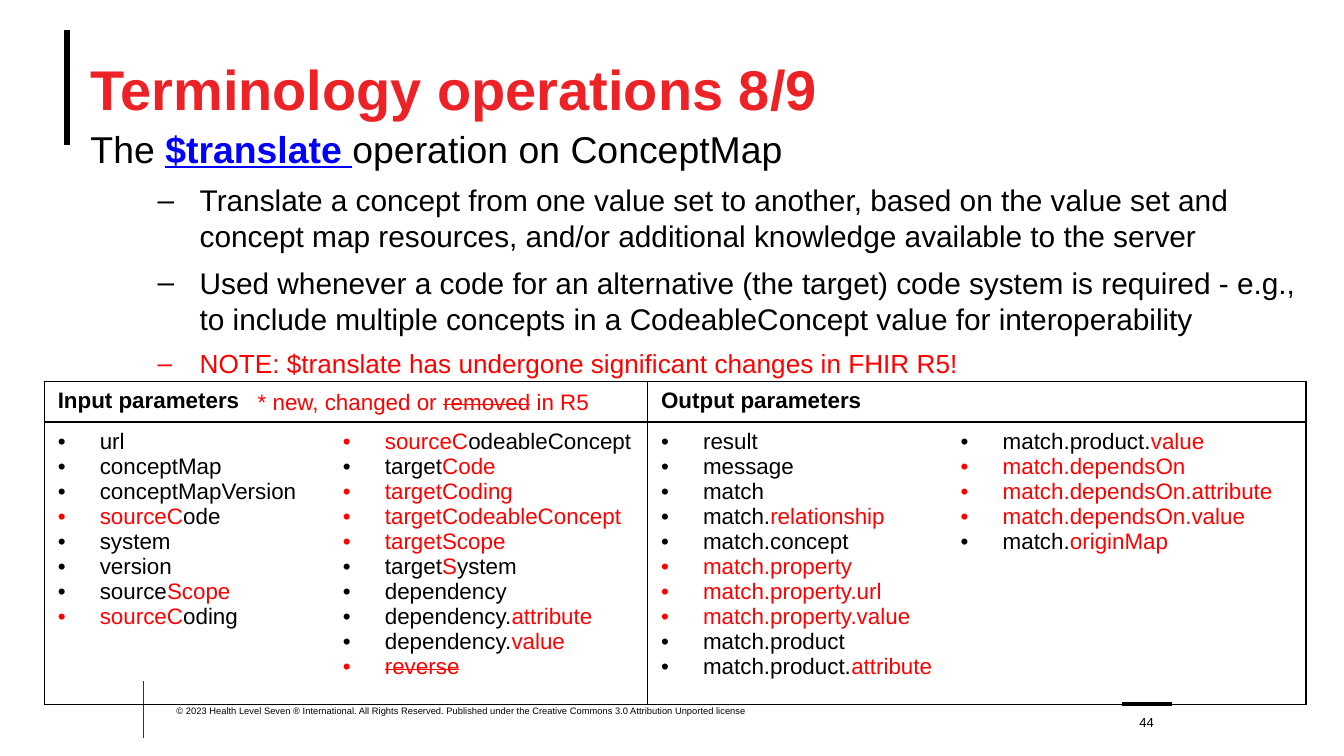
import pptx
import pptx.dml.color
import pptx.enum.shapes
import pptx.enum.text
import pptx.oxml.ns
import pptx.util
from lxml import etree

Pt = pptx.util.Pt
Anchor = pptx.enum.text.MSO_ANCHOR
Align = pptx.enum.text.PP_ALIGN
BLACK, RED, BLUE = "000000", "FF0000", "0000FF"

# Red pieces stand between bars; "~" marks a struck piece.
INPUTS = [
    ["url", "conceptMap", "conceptMapVersion", "|sourceC|ode", "system",
     "version", "source|Scope", "|sourceC|oding"],
    ["|sourceC|odeableConcept", "target|Code", "|targetCoding",
     "|targetCodeableConcept", "|targetScope", "target|S|ystem", "dependency",
     "dependency.|attribute", "dependency.|value", "|~reverse"],
]
OUTPUTS = [
    ["result", "message", "match", "match.|relationship", "match.concept",
     "|match.property", "|match.property.url", "|match.property.value",
     "match.product", "match.product.|attribute"],
    ["match.product.|value", "|match.dependsOn", "|match.dependsOn.attribute",
     "|match.dependsOn.value", "match.|originMap"],
]


def color(code):
    return pptx.dml.color.RGBColor.from_string(code)


def child(parent, tag, **attrs):
    return etree.SubElement(parent, pptx.oxml.ns.qn(tag), attrs)


class Deck:
    """Holds the style and the current slide."""
    font = "Arial"
    indent = 22.5

    def __init__(self, wide, high):
        self.file = pptx.Presentation()
        self.file.slide_width, self.file.slide_height = Pt(wide), Pt(high)
        self.slide = self.file.slides.add_slide(self.file.slide_layouts[6])

    def line(self, x1, y1, x2, y2, width, hue=BLACK):
        kind = pptx.enum.shapes.MSO_CONNECTOR.STRAIGHT
        line = self.slide.shapes.add_connector(
            kind, Pt(x1), Pt(y1), Pt(x2), Pt(y2))
        line.line.width = Pt(width)
        line.line.color.rgb = color(hue)
        child(line._element.spPr, "a:effectLst")

    def box(self, x, y, wide, high, anchor=Anchor.TOP, inset=(0, 0)):
        """Add a text box and return its frame; inset is (side, top)."""
        frame = self.slide.shapes.add_textbox(
            Pt(x), Pt(y), Pt(wide), Pt(high)).text_frame
        frame.word_wrap = True
        frame.vertical_anchor = anchor
        frame.margin_left = frame.margin_right = Pt(inset[0])
        frame.margin_top = frame.margin_bottom = Pt(inset[1])
        return frame

    def para(self, frame, size, first=False, mark=None, left=0, before=0):
        """Return a paragraph, with a hanging bullet if mark is given."""
        para = frame.paragraphs[0] if first else frame.add_paragraph()
        if before:
            para.space_before = Pt(before)
        if mark:
            props = para._p.get_or_add_pPr()
            props.set("marL", str(Pt(left)))
            props.set("indent", str(-Pt(self.indent)))
            child(props, "a:buFont", typeface=self.font)
            child(props, "a:buChar", char=mark)
        child(para._p, "a:endParaRPr", sz=str(size * 100))
        para.font.size = Pt(size)
        return para

    def run(self, para, text, size, hue=BLACK, bold=False, under=False,
            strike=False):
        run = para.add_run()
        run.text = text
        run.font.name, run.font.size = self.font, Pt(size)
        run.font.bold, run.font.underline = bold, under
        run.font.color.rgb = color(hue)
        if strike:
            run._r.get_or_add_rPr().set("strike", "sngStrike")

    def mixed(self, para, text, size):
        """Add runs that turn from black to red and back at each bar."""
        for i, part in enumerate(text.split("|")):
            if part:
                self.run(para, part.lstrip("~"), size, RED if i % 2 else BLACK,
                         strike=part.startswith("~"))

    def edges(self, cell, sides):
        """Draw the named sides of a cell and clear the others."""
        props = cell._tc.get_or_add_tcPr()
        for side in "LRTB":
            edge = child(props, "a:ln" + side, w=str(Pt(1)))
            if side in sides:
                fill = child(edge, "a:solidFill")
                child(fill, "a:srgbClr", val=BLACK)
            else:
                child(edge, "a:noFill")
        cell.fill.background()

    def table(self, x, y, cols, rows, heads, lists):
        """Each head spans two columns of bullet lists."""
        table = self.slide.shapes.add_table(
            len(rows), len(cols), Pt(x), Pt(y), Pt(sum(cols)),
            Pt(sum(rows))).table
        table.first_row = table.horz_banding = False
        for col, wide in zip(table.columns, cols):
            col.width = Pt(wide)
        for row, high in zip(table.rows, rows):
            row.height = Pt(high)
        for i, items in enumerate(lists):
            top, cell = table.cell(0, i), table.cell(1, i)
            self.edges(top, "LRTB")
            self.edges(cell, "RTB" if i % 2 else "LTB")
            para = self.para(top.text_frame, 12, True)
            if i % 2 == 0:
                top.merge(table.cell(0, i + 1))
                self.run(para, heads[i // 2], 12, bold=True)
            for j, item in enumerate(items):
                para = self.para(cell.text_frame, 12, j == 0, "•", self.indent)
                self.mixed(para, item, 12)


def main():
    deck = Deck(720, 405)
    deck.line(36, 16.25, 36, 77.5, 3.25)
    deck.line(77, 365, 77, 395.5, 0.5, "3D3029")
    deck.line(601, 377.25, 628, 377.25, 2)

    title = deck.box(48.5, 16.25, 648, 62, Anchor.MIDDLE)
    deck.run(deck.para(title, 30, True), "Terminology operations 8/9", 30,
             "EC2227", bold=True)

    body = deck.box(48.5, 67.5, 648, 280)
    lead = deck.para(body, 20, True)
    deck.run(lead, "The ", 20)
    deck.run(lead, "$translate", 20, BLUE, bold=True, under=True)
    deck.run(lead, " ", 20, BLUE, under=True)
    deck.run(lead, "operation on ConceptMap", 20)
    points = [
        ("Translate a concept from one value set to another, based on the "
         "value set and concept map resources, and/or additional knowledge "
         "available to the server", 16, BLACK),
        ("Used whenever a code for an alternative (the target) code system is "
         "required - e.g., to include multiple concepts in a CodeableConcept "
         "value for interoperability", 16, BLACK),
        ("NOTE: $translate has undergone significant changes in FHIR R5!",
         14, RED),
    ]
    for text, size, hue in points:
        para = deck.para(body, size, mark="–", left=58.5, before=6)
        deck.run(para, text, size, hue)

    foot = deck.box(94.5, 378, 356.5, 12)
    deck.run(deck.para(foot, 5, True),
             "© 2023 Health Level Seven ® International. All Rights Reserved. "
             "Published under the Creative Commons 3.0 Attribution Unported "
             "license", 5)
    page = deck.box(603.5, 378.5, 21.5, 12.5, Anchor.BOTTOM)
    para = deck.para(page, 7, True)
    para.alignment = Align.CENTER
    deck.run(para, "44", 7)

    deck.table(23.75, 204.5, [152.75, 170.5, 160.5, 192.25], [18, 107.25],
               ["Input parameters", "Output parameters"], INPUTS + OUTPUTS)

    note = deck.box(131, 204.5, 204, 21.5, inset=(7.2, 3.6))
    para = deck.para(note, 12, True)
    deck.run(para, "* new, changed or ", 12, RED)
    deck.run(para, "removed", 12, RED, strike=True)
    deck.run(para, " in R5", 12, RED)

    deck.file.save("out.pptx")


if __name__ == "__main__":
    main()
